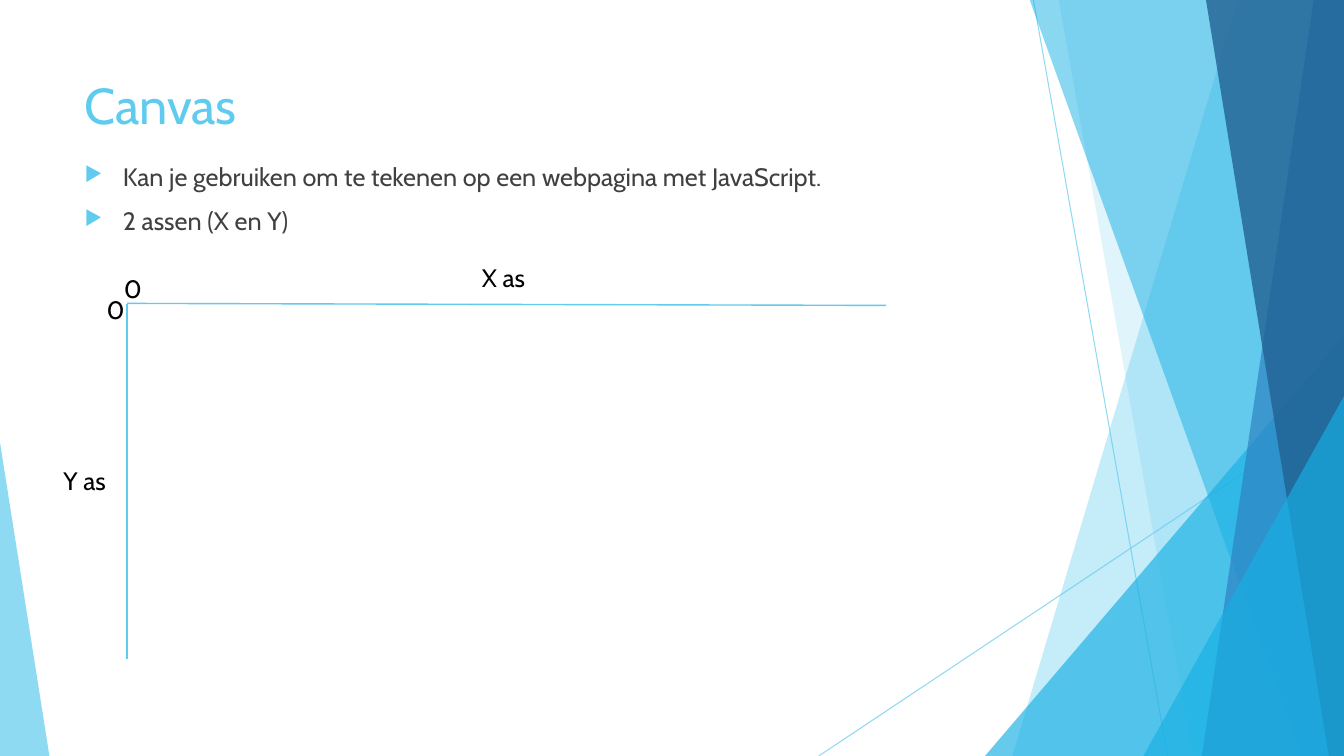
"""Build a slide that introduces the canvas and its two axes."""
import pptx
import pptx.dml.color
import pptx.enum.shapes
import pptx.enum.text
import pptx.oxml
import pptx.oxml.ns
import pptx.util
import lxml.etree

PX = 9144
WIDTH, HEIGHT = 1333, 750
FONT = "Cabin"
RGBColor = pptx.dml.color.RGBColor
SKY = RGBColor(0x5F, 0xCB, 0xEF)
CYAN = RGBColor(0x17, 0xB0, 0xE4)
BLUE = RGBColor(0x2E, 0x83, 0xC3)
NAVY = RGBColor(0x22, 0x62, 0x92)
GREY = RGBColor(0x40, 0x40, 0x40)
BLACK = RGBColor(0x00, 0x00, 0x00)


def px(*lengths):
    """Turn pixel lengths into EMU."""
    return [pptx.util.Emu(n * PX) for n in lengths]


def add_child(parent, tag, **attributes):
    """Append a DrawingML element with its attributes."""
    child = lxml.etree.SubElement(parent, pptx.oxml.ns.qn(tag))
    for name, value in attributes.items():
        child.set(name, str(value))
    return child


def set_alpha(parent, percent):
    """Make the solid colour inside an element translucent."""
    color = next(parent.iter(pptx.oxml.ns.qn("a:srgbClr")))
    add_child(color, "a:alpha", val=percent * 1000)


def fill_facet(sp, color, alpha):
    """Give a facet a translucent fill without outline or shadow."""
    sp.shadow.inherit = False
    sp.fill.solid()
    sp.fill.fore_color.rgb = color
    sp.line.fill.background()
    set_alpha(sp.fill._xPr, alpha)


def add_band(s, top_x, bottom_x, color, alpha):
    """Draw a facet between a slanted edge and the right slide edge."""
    builder = s.shapes.build_freeform(top_x, -1, scale=PX)
    builder.add_line_segments([(WIDTH, -1), (WIDTH, HEIGHT), (bottom_x, HEIGHT)])
    fill_facet(builder.convert_to_shape(), color, alpha)


def add_triangle(s, left, top, width, apex, color, alpha):
    """Draw a right triangle that stands on the bottom slide edge."""
    kind = pptx.enum.shapes.MSO_SHAPE.ISOSCELES_TRIANGLE
    sp = s.shapes.add_shape(kind, *px(left, top, width, HEIGHT - top))
    sp.adjustments[0] = apex
    fill_facet(sp, color, alpha)


def add_line(s, x1, y1, x2, y2, weight, alpha=100):
    """Draw a thin straight line."""
    kind = pptx.enum.shapes.MSO_CONNECTOR.STRAIGHT
    line = s.shapes.add_connector(kind, *px(x1, y1, x2, y2))
    line.line.color.rgb = SKY
    line.line.width = pptx.util.Pt(weight)
    if alpha < 100:
        set_alpha(line.line._ln, alpha)
    add_child(line._element.spPr, "a:effectLst")


def add_text(s, left, top, width, height, lines, size, color, anchor="TOP"):
    """Add a text box with one paragraph per line."""
    tf = s.shapes.add_textbox(*px(left, top, width, height)).text_frame
    tf.word_wrap = True
    tf.vertical_anchor = pptx.enum.text.MSO_ANCHOR[anchor]
    tf.text = "\n".join(lines)
    for p in tf.paragraphs:
        p.font.name = FONT
        p.font.size = pptx.util.Pt(size)
        p.font.color.rgb = color
    return tf


def add_bullets(tf):
    """Give every paragraph a hanging arrow bullet."""
    for p in tf.paragraphs:
        p.space_before = pptx.util.Pt(10)
        pPr = p._p.get_or_add_pPr()
        pPr.set("marL", str(38 * PX))
        pPr.set("indent", str(-38 * PX))
        bullet = pptx.oxml.parse_xml(
            f'<a:pPr {pptx.oxml.ns.nsdecls("a")}>'
            f'<a:buClr><a:srgbClr val="{SKY}"/></a:buClr>'
            '<a:buSzPct val="80000"/><a:buChar char="▶"/></a:pPr>')
        position = len(pPr) - len(pPr.findall(pptx.oxml.ns.qn("a:defRPr")))
        pPr[position:position] = list(bullet)


def add_backdrop(s):
    """Draw the translucent facets along the slide edges."""
    add_line(s, 1025, 0, 1158, HEIGHT, 0.75, 70)
    add_line(s, WIDTH, 403, 812, HEIGHT, 0.75, 70)
    add_band(s, 1228, 1004, SKY, 36)
    add_band(s, 1050, 1183, SKY, 20)
    add_triangle(s, 977, 333, 356, 1, CYAN, 66)
    add_band(s, 1021, 1291, CYAN, 50)
    add_band(s, 1303, 1192, BLUE, 70)
    add_band(s, 1196, 1318, NAVY, 80)
    add_triangle(s, 1134, 393, 199, 1, CYAN, 66)
    add_triangle(s, 0, 439, 49, 0, SKY, 70)


def main():
    """Build and save the slide."""
    prs = pptx.Presentation()
    prs.slide_width, prs.slide_height = px(WIDTH, HEIGHT)
    s = prs.slides.add_slide(prs.slide_layouts[6])
    add_backdrop(s)
    add_text(s, 74, 67, 940, 73, ["Canvas"], 36, SKY, "MIDDLE")
    add_bullets(add_text(s, 74, 155, 940, 506, [
        "Kan je gebruiken om te tekenen op een webpagina met JavaScript.",
        "2 assen (X en Y)",
    ], 18, GREY))
    add_line(s, 126, 301, 879, 303, 1)
    add_line(s, 126, 302, 126, 654, 1)
    for label, left, top, width in (("X as", 468, 255, 69), ("Y as", 53, 457, 69),
                                    ("0", 96, 287, 33), ("0", 113, 266, 30)):
        add_text(s, left, top, width, 40, [label], 18, BLACK)
    prs.save("out.pptx")


if __name__ == "__main__":
    main()
